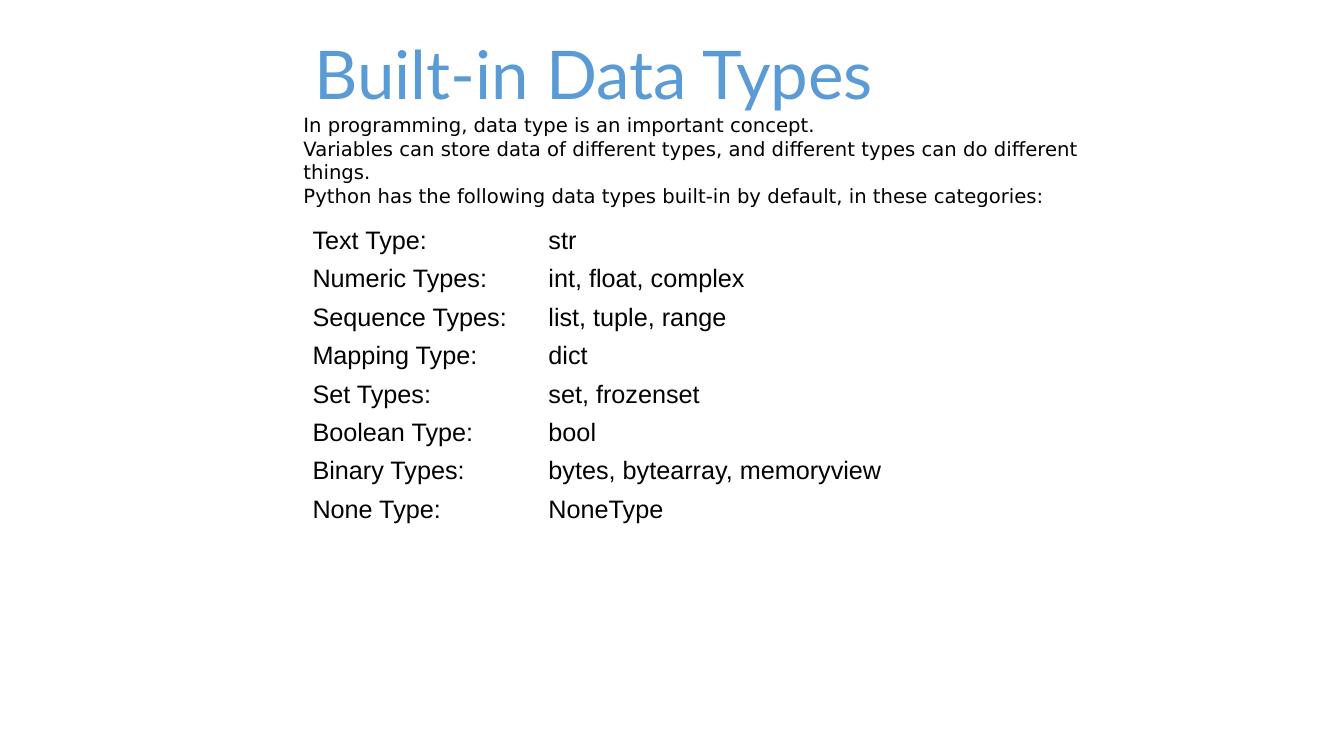
import pptx
import pptx.dml.color
import pptx.enum.shapes
import pptx.enum.text
import pptx.util

Inches = pptx.util.Inches
Pt = pptx.util.Pt
RGBColor = pptx.dml.color.RGBColor
ALIGN = pptx.enum.text.PP_ALIGN
ANCHOR = pptx.enum.text.MSO_ANCHOR

WIDTH, HEIGHT = Inches(13.33), Inches(7.5)
BLACK = RGBColor(0x00, 0x00, 0x00)
WHITE = RGBColor(0xFF, 0xFF, 0xFF)
BLUE = RGBColor(0x5B, 0x9B, 0xD5)

LEFT = Inches(3.01)
COLUMN = Inches(1.19)
LABEL_COLUMNS, VALUE_COLUMNS = 2, 3
ROW = Inches(0.35)

TITLE_FONT = {"name": "Lato", "size": Pt(48), "color": BLUE}
INTRO_FONT = {"name": "DejaVu Sans", "size": Pt(14), "color": BLACK}
TABLE_FONT = {"name": "Arial", "size": Pt(18), "color": BLACK}

INTRO = [
    "In programming, data type is an important concept.",
    "Variables can store data of different types, and different types can do different things.",
    "Python has the following data types built-in by default, in these categories:",
]
DATA_TYPES = [
    ("Text Type:", "str"),
    ("Numeric Types:", "int, float, complex"),
    ("Sequence Types:", "list, tuple, range"),
    ("Mapping Type:", "dict"),
    ("Set Types:", "set, frozenset"),
    ("Boolean Type:", "bool"),
    ("Binary Types:", "bytes, bytearray, memoryview"),
    ("None Type:", "NoneType"),
]


def set_margins(target, left, top, right, bottom):
    margins = {"left": left, "top": top, "right": right, "bottom": bottom}
    for side, length in margins.items():
        setattr(target, f"margin_{side}", Inches(length))


def paint(shape, color):
    shape.fill.solid()
    shape.fill.fore_color.rgb = color


def write(frame, lines, style, align=ALIGN.LEFT):
    for index, line in enumerate(lines):
        para = frame.add_paragraph() if index else frame.paragraphs[0]
        para.alignment = align
        span = para.add_run()
        span.text = line
        for name, value in style.items():
            if name == "color":
                span.font.color.rgb = value
            else:
                setattr(span.font, name, value)


def add_type_table(page):
    columns = (LABEL_COLUMNS, VALUE_COLUMNS)
    frame = page.shapes.add_table(
        len(DATA_TYPES), len(columns), LEFT, Inches(2.2),
        COLUMN * sum(columns), ROW * len(DATA_TYPES))
    table = frame.table
    table.first_row = table.horz_banding = False
    for column, share in zip(table.columns, columns):
        column.width = COLUMN * share
    for row, texts in enumerate(DATA_TYPES):
        table.rows[row].height = ROW
        for column, text in enumerate(texts):
            cell = table.cell(row, column)
            set_margins(cell, 0.05 if column else 0.09, 0.05, 0.05, 0.05)
            paint(cell, WHITE)
            write(cell.text_frame, [text], TABLE_FONT)


def add_intro(page):
    box = page.shapes.add_shape(
        pptx.enum.shapes.MSO_SHAPE.RECTANGLE,
        LEFT, Inches(1.05), Inches(7.9), Inches(1.08))
    box.shadow.inherit = False
    paint(box, WHITE)
    box.line.fill.background()
    frame = box.text_frame
    frame.word_wrap = True
    frame.vertical_anchor = ANCHOR.MIDDLE
    set_margins(frame, 0, 0.07, 0, 0.07)
    write(frame, INTRO, INTRO_FONT)


def add_title(page):
    box = page.shapes.add_textbox(LEFT, Inches(0.27), Inches(5.76), Inches(0.91))
    frame = box.text_frame
    frame.word_wrap = True
    set_margins(frame, 0.1, 0.05, 0.1, 0.05)
    write(frame, ["Built-in Data Types"], TITLE_FONT, ALIGN.CENTER)


def main():
    deck = pptx.Presentation()
    deck.slide_width, deck.slide_height = WIDTH, HEIGHT
    page = deck.slides.add_slide(deck.slide_layouts[6])
    add_type_table(page)
    add_intro(page)
    add_title(page)
    deck.save("out.pptx")


if __name__ == "__main__":
    main()
